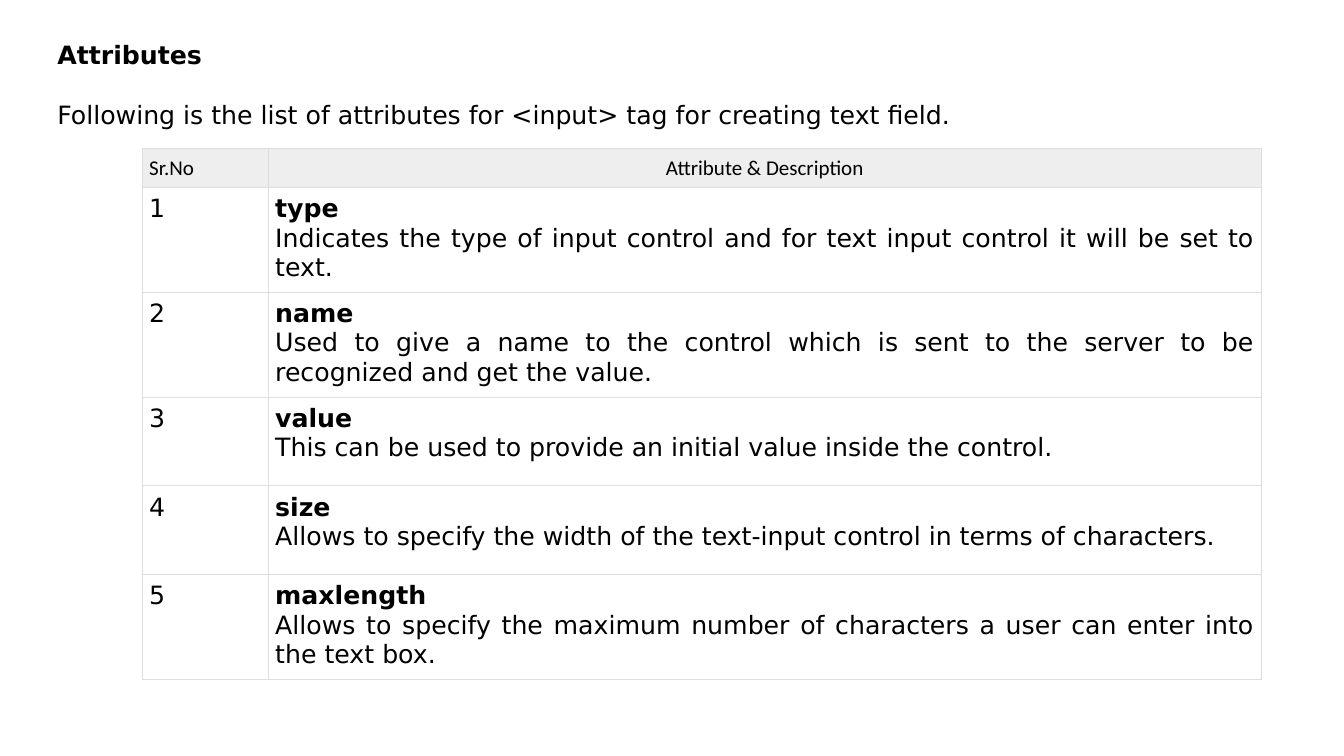
import pptx
import pptx.dml.color
import pptx.enum.text
import pptx.oxml
import pptx.oxml.ns
import pptx.util
from pptx.util import Inches

WIDTH, HEIGHT = 13.33, 7.5
BODY_FONT, HEADER_FONT = "DejaVu Sans", "Calibri"
BLACK, WHITE, HEADER_GREY, BORDER_GREY = "000000", "FFFFFF", "EEEEEE", "DDDDDD"
ALIGN = pptx.enum.text.PP_ALIGN
CELL_INSET = 0.07

TITLE = "Attributes"
INTRO = "Following is the list of attributes for <input> tag for creating text field."
HEADERS = ("Sr.No", "Attribute & Description")
ATTRIBUTES = [
    ("type", "Indicates the type of input control and for text input control "
             "it will be set to text."),
    ("name", "Used to give a name to the control which is sent to the server "
             "to be recognized and get the value."),
    ("value", "This can be used to provide an initial value inside the control."),
    ("size", "Allows to specify the width of the text-input control in terms "
             "of characters."),
    ("maxlength", "Allows to specify the maximum number of characters a user "
                  "can enter into the text box."),
]


def color(hex_code):
    return pptx.dml.color.RGBColor.from_string(hex_code)


def write(frame, lines, align, size=18, font=BODY_FONT, bold_first=False):
    """Fill a text frame, one paragraph per line."""
    frame.text = "\n".join(lines)
    for index, paragraph in enumerate(frame.paragraphs):
        paragraph.alignment = align
        for run in paragraph.runs:
            run.font.size = pptx.util.Pt(size)
            run.font.name = font
            run.font.bold = bold_first and index == 0
            run.font.color.rgb = color(BLACK)


def style_cell(cell, fill):
    """Set the fill, insets and thin grey border of a cell."""
    cell.fill.solid()
    cell.fill.fore_color.rgb = color(fill)
    cell.margin_left = cell.margin_right = Inches(CELL_INSET)
    cell.margin_top = cell.margin_bottom = Inches(CELL_INSET)
    properties = cell._tc.get_or_add_tcPr()
    for position, side in enumerate(("lnL", "lnR", "lnT", "lnB")):
        border = pptx.oxml.parse_xml(
            f'<a:{side} {pptx.oxml.ns.nsdecls("a")} w="9525"><a:solidFill>'
            f'<a:srgbClr val="{BORDER_GREY}"/></a:solidFill></a:{side}>')
        properties.insert(position, border)


def add_heading(slide, left, top, width, height):
    """Bold title with the introductory sentence one line below."""
    box = slide.shapes.add_textbox(*map(Inches, (left, top, width, height)))
    frame = box.text_frame
    frame.word_wrap = True
    write(frame, (TITLE, INTRO), ALIGN.JUSTIFY, bold_first=True)
    title, intro = frame.paragraphs
    title.alignment = ALIGN.LEFT
    intro.space_before = pptx.util.Pt(21)


def add_attribute_table(slide, left, top, width, height):
    """Numbered attributes under a grey header row."""
    frame = slide.shapes.add_table(len(ATTRIBUTES) + 1, len(HEADERS),
                                   *map(Inches, (left, top, width, height)))
    table = frame.table
    table.horz_banding = False

    # Grid
    number_width, header_height = 1.25, 0.38
    row_height = 0.88
    table.columns[0].width = Inches(number_width)
    table.columns[1].width = Inches(width - number_width)
    for index, row in enumerate(table.rows):
        row.height = Inches(row_height if index else header_height)
        for cell in row.cells:
            style_cell(cell, WHITE if index else HEADER_GREY)

    # Header
    for column, (header, align) in enumerate(zip(HEADERS, (ALIGN.LEFT, ALIGN.CENTER))):
        write(table.cell(0, column).text_frame, [header], align, 15, HEADER_FONT)

    # Attributes
    for number, attribute in enumerate(ATTRIBUTES, 1):
        write(table.cell(number, 0).text_frame, [str(number)], ALIGN.LEFT)
        write(table.cell(number, 1).text_frame, attribute, ALIGN.JUSTIFY,
              bold_first=True)


def main():
    deck = pptx.Presentation()
    deck.slide_width, deck.slide_height = Inches(WIDTH), Inches(HEIGHT)
    slide = deck.slides.add_slide(deck.slide_layouts[6])
    slide.background.fill.solid()
    slide.background.fill.fore_color.rgb = color(WHITE)
    add_heading(slide, 0.47, 0.34, 12.14, 1.01)
    add_attribute_table(slide, 1.41, 1.47, 11.1, 4.78)
    deck.save("out.pptx")


if __name__ == "__main__":
    main()
